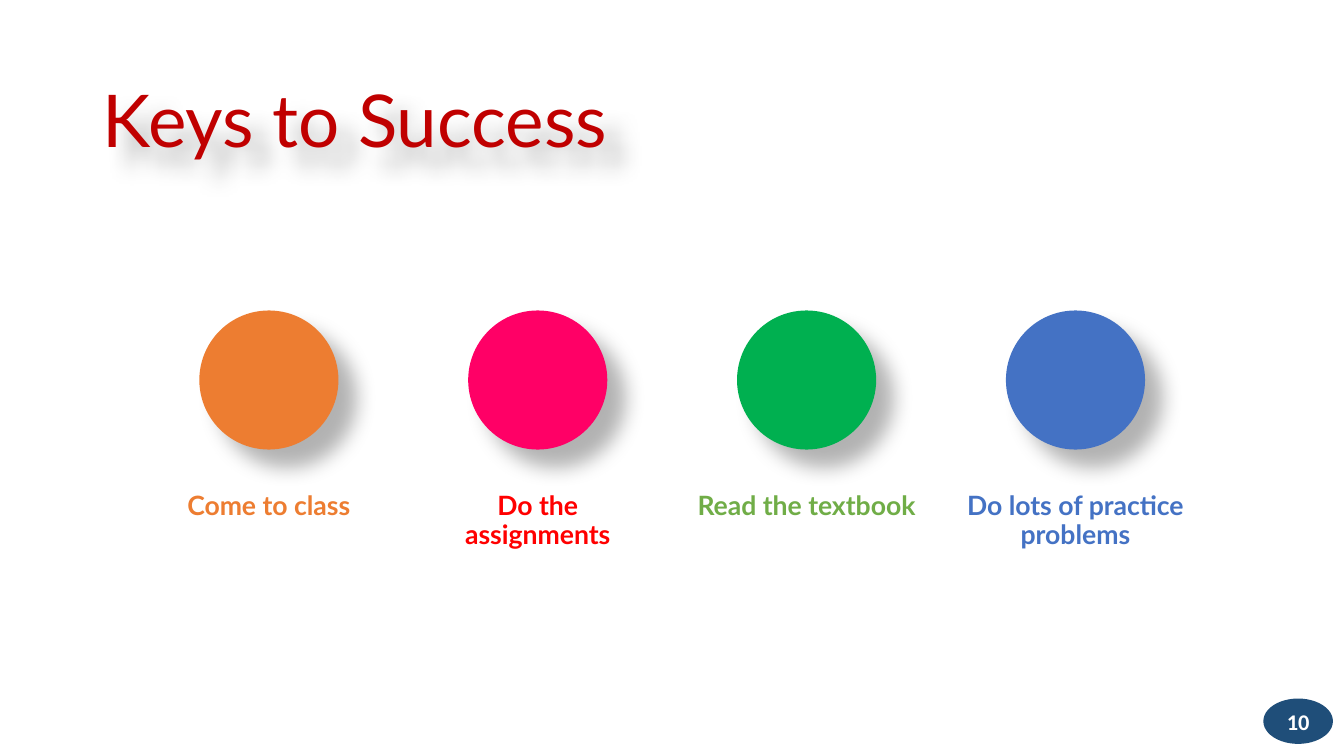
from lxml import etree
from pptx import Presentation
from pptx.dml.color import RGBColor
from pptx.enum.shapes import MSO_SHAPE
from pptx.enum.text import MSO_ANCHOR, PP_ALIGN
from pptx.oxml.ns import qn
from pptx.util import Inches, Pt

OVAL = MSO_SHAPE.OVAL
MIDDLE, TOP = MSO_ANCHOR.MIDDLE, MSO_ANCHOR.TOP
LEFT, CENTER = PP_ALIGN.LEFT, PP_ALIGN.CENTER

COLORS = {
    "title": "C00000", "orange": "ED7D31", "pink": "FF0066", "red": "FF0000",
    "green": "00B050", "olive": "70AD47", "blue": "4472C4",
    "badge": "1F4E79", "white": "FFFFFF", "shadow": "000000",
}

# Label, circle colour, label colour
KEYS = [
    ("Come to class", "orange", "orange"),
    ("Do the assignments", "pink", "red"),
    ("Read the textbook", "green", "olive"),
    ("Do lots of practice problems", "blue", "blue"),
]
COLUMN_STEP = 8 / 3
CIRCLE_SIZE = 1.38
LABEL_WIDTH = 2.27


def write_text(shape, text, size, color, font="Lato", bold=False, align=LEFT,
               anchor=TOP, margin=None, line_spacing=None, space_after=None):
    frame = shape.text_frame
    frame.word_wrap = True
    frame.vertical_anchor = anchor
    if margin is not None:
        frame.margin_left = frame.margin_right = Inches(margin)
        frame.margin_top = frame.margin_bottom = Inches(margin)
    paragraph = frame.paragraphs[0]
    paragraph.alignment = align
    if line_spacing is not None:
        paragraph.line_spacing = line_spacing
    if space_after is not None:
        paragraph.space_after = Pt(space_after)
    run = paragraph.add_run()
    run.text = text
    run.font.name = font
    run.font.size = Pt(size)
    run.font.bold = bold
    run.font.color.rgb = RGBColor.from_string(COLORS[color])


class SlideBuilder:
    def __init__(self, presentation):
        self.slide = presentation.slides.add_slide(presentation.slide_layouts[6])

    def text_box(self, text, left, top, width, height, **style):
        shape = self.slide.shapes.add_textbox(
            Inches(left), Inches(top), Inches(width), Inches(height))
        write_text(shape, text, **style)
        return shape

    def ellipse(self, left, top, width, height, color):
        shape = self.slide.shapes.add_shape(
            OVAL, Inches(left), Inches(top), Inches(width), Inches(height))
        shape.shadow.inherit = False
        shape.fill.solid()
        shape.fill.fore_color.rgb = RGBColor.from_string(COLORS[color])
        shape.line.fill.background()
        return shape

    def add_shadow(self, shape, blur=15, distance=18, angle=45, opacity=30):
        shape.shadow.inherit = False
        effects = shape._element.spPr.find(qn("a:effectLst"))
        shadow = etree.SubElement(
            effects, qn("a:outerShdw"), blurRad=str(Pt(blur)),
            dist=str(Pt(distance)), dir=str(angle * 60000),
            algn="tl", rotWithShape="0")
        color = etree.SubElement(shadow, qn("a:srgbClr"), val=COLORS["shadow"])
        etree.SubElement(color, qn("a:alpha"), val=str(opacity * 1000))


def main():
    presentation = Presentation()
    presentation.slide_width = Inches(13.33)
    presentation.slide_height = Inches(7.5)
    builder = SlideBuilder(presentation)

    # Title
    title = builder.text_box("Keys to Success", 0.92, 0.61, 11.5, 1.24, size=52,
                             color="title", anchor=MIDDLE, line_spacing=0.9)
    builder.add_shadow(title)

    # Four keys, each a circle above its label
    for column, (label, circle_color, label_color) in enumerate(KEYS, start=1):
        center = column * COLUMN_STEP
        circle = builder.ellipse(center - CIRCLE_SIZE / 2, 3.08,
                                 CIRCLE_SIZE, CIRCLE_SIZE, circle_color)
        builder.add_shadow(circle)
        builder.text_box(label, center - LABEL_WIDTH / 2, 4.89, LABEL_WIDTH, 0.79,
                         size=19, color=label_color, bold=True, align=CENTER,
                         margin=0, line_spacing=0.9, space_after=6.65)

    # Slide number badge
    badge = builder.ellipse(12.53, 6.93, 0.69, 0.45, "badge")
    write_text(badge, "10", size=16, color="white", font="Calibri", bold=True,
               align=CENTER, anchor=MIDDLE, margin=0)

    presentation.save("out.pptx")


if __name__ == "__main__":
    main()
